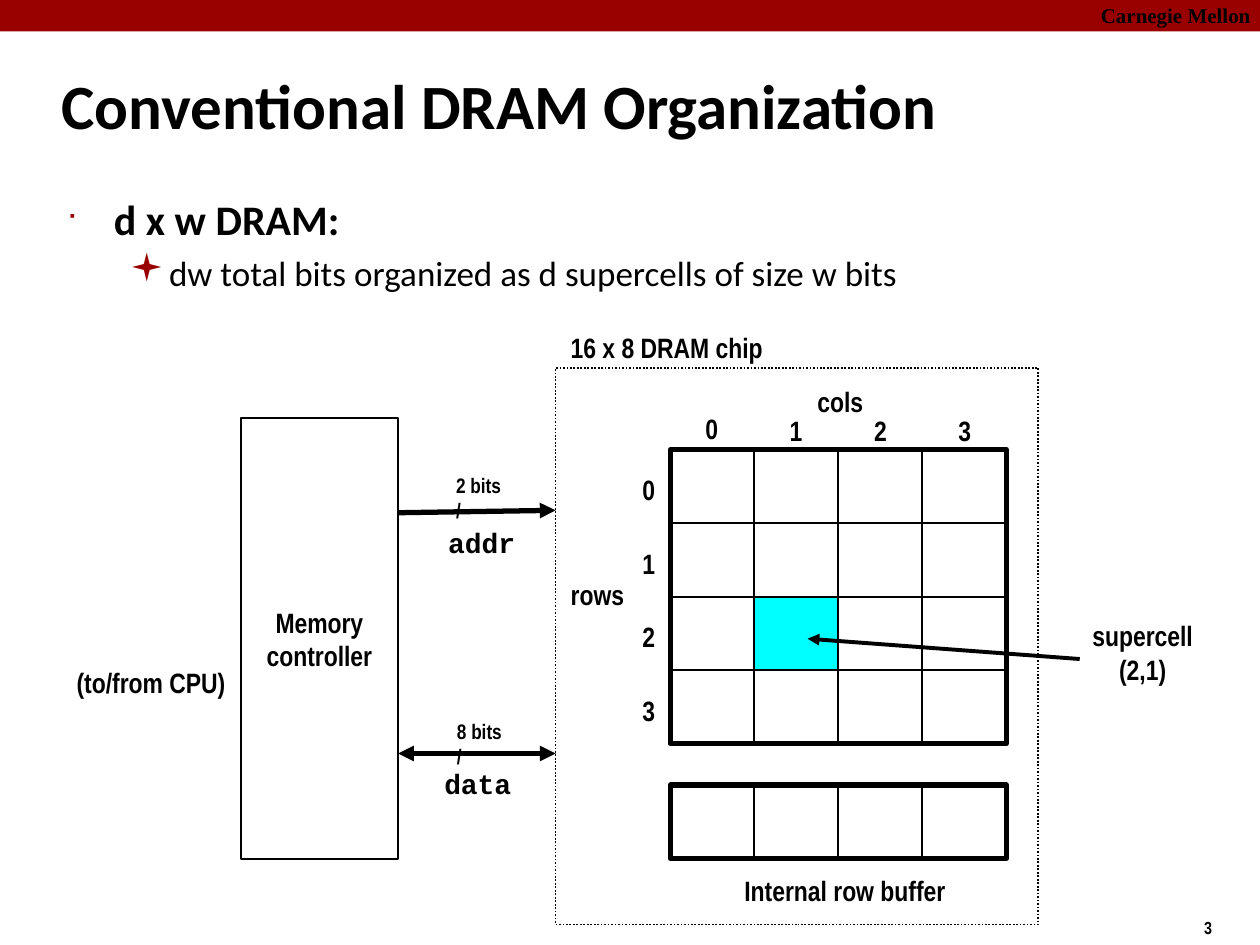
from lxml import etree
from pptx import Presentation
from pptx.dml.color import RGBColor
from pptx.enum.dml import MSO_LINE
from pptx.enum.shapes import MSO_CONNECTOR, MSO_SHAPE
from pptx.enum.text import MSO_ANCHOR, MSO_AUTO_SIZE, PP_ALIGN
from pptx.oxml.ns import qn
from pptx.util import Pt

COLORS = {"red": "990000", "black": "000000", "white": "FFFFFF", "cyan": "00FFFF"}
LABEL_FONT = "Arial Narrow"

presentation = Presentation()
presentation.slide_width, presentation.slide_height = Pt(720), Pt(540)
slide = presentation.slides.add_slide(presentation.slide_layouts[5])


def write_text(shape, lines, size=16, font=LABEL_FONT, align=PP_ALIGN.LEFT,
               bold=True, anchor=MSO_ANCHOR.MIDDLE, wrap=False):
    """Fill a shape with one run per line, each in its own paragraph."""
    frame = shape.text_frame
    frame.word_wrap = wrap
    frame.auto_size = MSO_AUTO_SIZE.NONE
    frame.vertical_anchor = anchor
    for index, line in enumerate(lines):
        paragraph = frame.paragraphs[0] if index == 0 else frame.add_paragraph()
        paragraph.alignment = align
        run = paragraph.add_run()
        run.text = line
        run.font.size, run.font.name, run.font.bold = Pt(size), font, bold
        run.font.color.rgb = RGBColor.from_string(COLORS["black"])


def add_box(left, top, width, height, fill=None, line_width=1):
    """Add a rectangle; no fill or no line when the value is None."""
    shape = slide.shapes.add_shape(
        MSO_SHAPE.RECTANGLE, Pt(left), Pt(top), Pt(width), Pt(height))
    shape.shadow.inherit = False
    if fill:
        shape.fill.solid()
        shape.fill.fore_color.rgb = RGBColor.from_string(COLORS[fill])
    else:
        shape.fill.background()
    if line_width:
        shape.line.width = Pt(line_width)
        shape.line.color.rgb = RGBColor.from_string(COLORS["black"])
    else:
        shape.line.fill.background()
    return shape


# Top band and title
add_box(0, 0, 720, 18, "red", None)
title = slide.shapes.title
title.left, title.top, title.width, title.height = Pt(28), Pt(34.6), Pt(597.6), Pt(59.8)
write_text(title, ["Conventional DRAM Organization"], 36, "Calibri",
           anchor=MSO_ANCHOR.TOP, wrap=True)

# Bulleted text
body = slide.shapes.add_textbox(Pt(31), Pt(107.3), Pt(622), Pt(110))
body.text_frame.word_wrap = True
bullets = [
    # text, size, bold, left margin, indent, bullet, bullet percent
    ("d x w DRAM:", 24, True, 27, -27, "■", 60),
    ("dw total bits organized as d supercells of size w bits",
     20, False, 58.5, -22.5, "▪", 110),
]
for index, (text, size, bold, margin, indent, mark, percent) in enumerate(bullets):
    paragraph = body.text_frame.paragraphs[0] if index == 0 else body.text_frame.add_paragraph()
    properties = paragraph._p.get_or_add_pPr()
    properties.set("marL", str(Pt(margin)))
    properties.set("indent", str(Pt(indent)))
    color = etree.SubElement(properties, qn("a:buClr"))
    etree.SubElement(color, qn("a:srgbClr"), val=COLORS["red"])
    etree.SubElement(properties, qn("a:buSzPct"), val=str(percent * 1000))
    etree.SubElement(properties, qn("a:buFont"), typeface="Wingdings")
    etree.SubElement(properties, qn("a:buChar"), char=mark)
    if index:
        paragraph.level = 1
        paragraph.space_before = Pt(4)
    run = paragraph.add_run()
    run.text = text
    run.font.size, run.font.name, run.font.bold = Pt(size), "Calibri", bold
    run.font.color.rgb = RGBColor.from_string(COLORS["black"])

# Supercell grid and internal row buffer
GRID_LEFT, GRID_TOP, BUFFER_TOP = 383, 257, 448.6
CELL_WIDTH, CELL_HEIGHT, COUNT = 48, 42, 4
for top, rows in ((GRID_TOP, COUNT), (BUFFER_TOP, 1)):
    for row in range(rows):
        for column in range(COUNT):
            chosen = rows > 1 and (row, column) == (2, 1)
            add_box(GRID_LEFT + column * CELL_WIDTH, top + row * CELL_HEIGHT,
                    CELL_WIDTH, CELL_HEIGHT, "cyan" if chosen else "white")
    add_box(GRID_LEFT, top, COUNT * CELL_WIDTH, rows * CELL_HEIGHT, line_width=3)

# Chip outline and memory controller
chip = add_box(317.5, 210.2, 275.8, 318.2)
chip.line.dash_style = MSO_LINE.ROUND_DOT
controller = add_box(137.5, 239, 90, 252, "white")
write_text(controller, ["Memory", "controller"], align=PP_ALIGN.CENTER)

# Arrows
arrows = [
    # start, end, width, arrowheads
    ((227.5, 293), (317.5, 291.6), 3, ["tailEnd"]),
    ((227.5, 430.6), (317.5, 430.6), 3, ["headEnd", "tailEnd"]),
    ((617, 376.6), (461.5, 365), 2.25, ["tailEnd"]),
]
for start, end, width, heads in arrows:
    arrow = slide.shapes.add_connector(
        MSO_CONNECTOR.STRAIGHT, *(Pt(value) for value in start + end))
    arrow.line.width = Pt(width)
    arrow.line.color.rgb = RGBColor.from_string(COLORS["black"])
    for head in heads:
        etree.SubElement(arrow.line._get_or_add_ln(), qn(f"a:{head}"), type="triangle")
    etree.SubElement(arrow._element.spPr, qn("a:effectLst"))

# Labels: lines, left, top, width, height, text options
centered = {"align": PP_ALIGN.CENTER}
code = {"font": "Courier New"}
small = {"size": 12}
labels = [
    (["Carnegie Mellon"], 622, -2.2, 103, 21.6,
     {"size": 12, "font": "Times New Roman", "anchor": MSO_ANCHOR.TOP}),
    (["3"], 681, 520.6, 54, 19.4, {"size": 10, "anchor": MSO_ANCHOR.TOP}),
    (["cols"], 460, 216, 40.5, 26.6, {}),
    (["rows"], 319, 326.4, 44.6, 26.6, {}),
    (["16 x 8 DRAM chip"], 319, 185, 123.8, 26.6, {}),
    (["Internal row buffer"], 418.3, 495.6, 129, 26.6, centered),
    (["addr"], 249, 296.8, 52.6, 26.6, code),
    (["data"], 246.8, 434.4, 52.6, 26.6, code),
    (["2 bits", "/"], 253.5, 266.6, 39.6, 36, small),
    (["8 bits", "/"], 254, 407, 39.6, 36, small),
    (["supercell", "(2,1)"], 617, 350, 72, 45.4, centered),
    (["(to/from CPU)"], 36.7, 376.8, 99.4, 26.6, {}),
]
for index in range(COUNT):
    column_top = 231.6 if index == 0 else 232.6
    labels.append(([str(index)], 396 + index * 48.2, column_top, 21.6, 26.6, {}))
    labels.append(([str(index)], 360, 266.6 + index * CELL_HEIGHT, 21.6, 26.6, {}))
for lines, left, top, width, height, options in labels:
    label = slide.shapes.add_textbox(Pt(left), Pt(top), Pt(width), Pt(height))
    write_text(label, lines, **options)

presentation.save("out.pptx")
